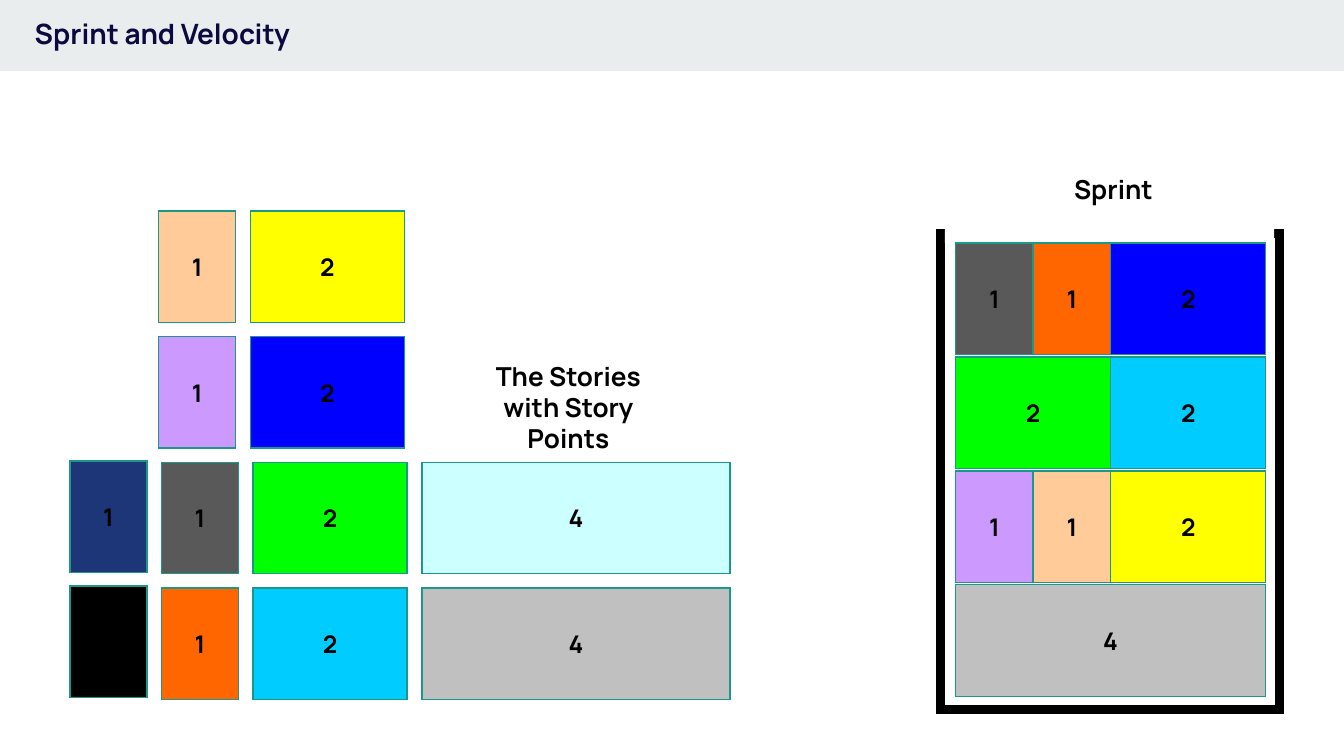
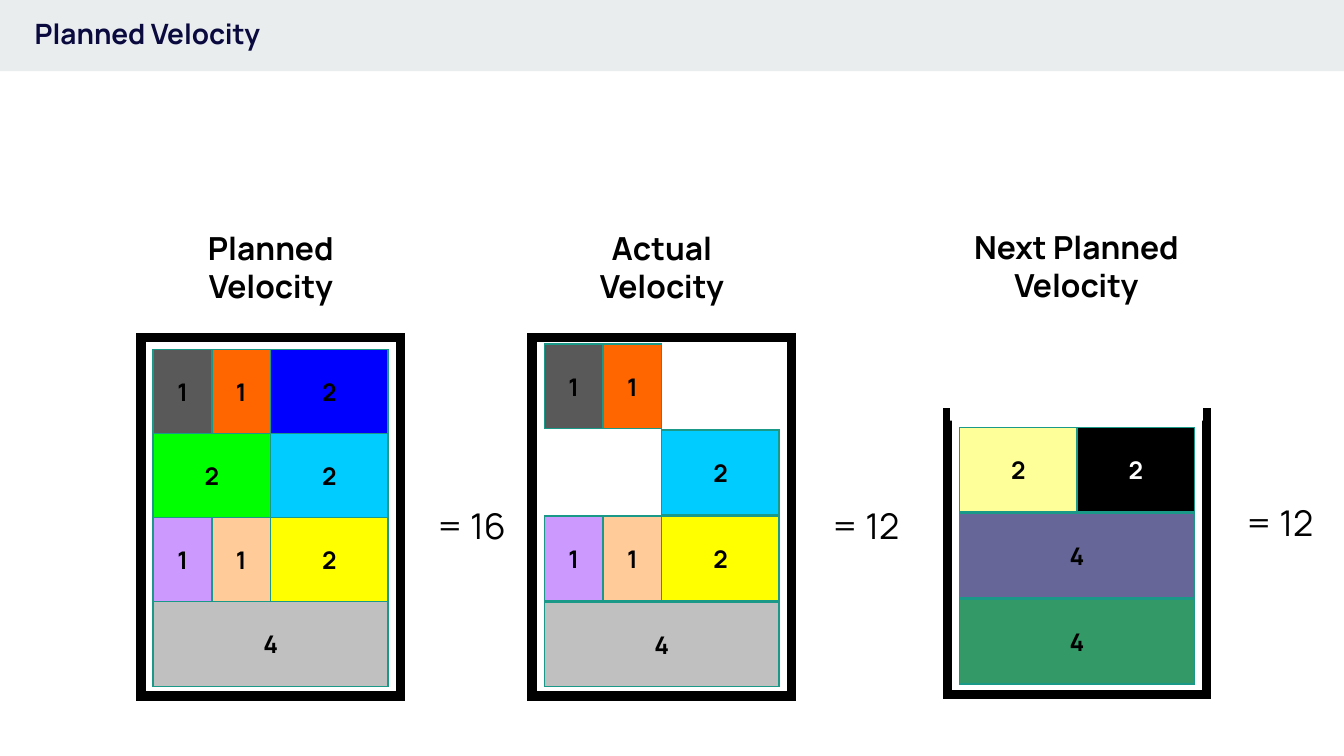
from lxml import etree
from pptx import Presentation
from pptx import util as u
from pptx.dml.color import RGBColor
from pptx.enum import shapes, text
from pptx.oxml.ns import qn

FONT = "Manrope"
COLORS = {
    "band": "E9EDEE", "title": "0A0A3E", "edge": "1A9988",
    "black": "000000", "white": "FFFFFF", "silver": "C0C0C0",
    "grey": "595959", "orange": "FF6600", "blue": "0000FF",
    "green": "00FF00", "sky": "00CCFF", "violet": "CC99FF",
    "peach": "FFCC99", "yellow": "FFFF00", "ice": "CCFFFF",
    "navy": "1C3678", "cream": "FFFF99", "slate": "666699",
    "forest": "339966",
}
COLUMNS, ROWS = 100, 56.25
TOP_ROW = [(1, "grey"), (1, "orange"), (2, "blue")]
SECOND_ROW = [(2, "green"), (2, "sky")]
THIRD_ROW = [(1, "violet"), (1, "peach"), (2, "yellow")]
BOTTOM_ROW = [(4, "silver")]
SPRINT = [TOP_ROW, SECOND_ROW, THIRD_ROW, BOTTOM_ROW]


class Deck:
    def __init__(self):
        self.prs = Presentation()
        self.prs.slide_width = u.Inches(10)
        self.prs.slide_height = u.Inches(5.625)
        self.s = None

    def grid(self, x, y, w, h):
        col = self.prs.slide_width / COLUMNS
        row = self.prs.slide_height / ROWS
        return [u.Emu(round(n)) for n in (x * col, y * row, w * col, h * row)]

    def color(self, name):
        return RGBColor.from_string(COLORS[name])

    def slide(self, title):
        self.s = self.prs.slides.add_slide(self.prs.slide_layouts[6])
        self.rect(0, 0, 100, 5.3, "band")
        self.label(title, 1.6, -0.3, 84.1, 5.9, 15, color="title",
                   align=text.PP_ALIGN.LEFT, middle=True, spacing=0.9)

    def rect(self, x, y, w, h, fill=None, line=None, width=0.75):
        sp = self.s.shapes.add_shape(shapes.MSO_SHAPE.RECTANGLE, *self.grid(x, y, w, h))
        sp.shadow.inherit = False
        if fill:
            sp.fill.solid()
            sp.fill.fore_color.rgb = self.color(fill)
        else:
            sp.fill.background()
        if line:
            sp.line.color.rgb = self.color(line)
            sp.line.width = u.Pt(width)
            ln = sp.element.spPr.find(qn("a:ln"))
            etree.SubElement(ln, qn("a:miter")).set("lim", "800000")
        else:
            sp.line.fill.background()
        return sp

    def fill_text(self, tf, content, size, color, bold=True,
                  align=text.PP_ALIGN.CENTER, middle=True, spacing=None):
        tf.text = content
        tf.word_wrap = True
        tf.vertical_anchor = text.MSO_ANCHOR.MIDDLE if middle else text.MSO_ANCHOR.TOP
        for p in tf.paragraphs:
            p.alignment = align
            if spacing:
                p.line_spacing = spacing
            for r in p.runs:
                r.font.name = FONT
                r.font.size = u.Pt(size)
                r.font.bold = bold
                r.font.color.rgb = self.color(color)

    def label(self, content, x, y, w, h, size, color="black", **style):
        sp = self.s.shapes.add_textbox(*self.grid(x, y, w, h))
        self.fill_text(sp.text_frame, content, size, color, **style)

    def total(self, points, x, y):
        self.label(f"= {points}", x, y, 7.2, 4.2, 19, bold=False,
                   align=text.PP_ALIGN.LEFT, middle=False)

    def frame(self, x, y, w, h):
        self.rect(x, y, w, h, line="black", width=5)

    def story(self, points, fill, x, y, w, h):
        sp = self.rect(x, y, w, h, fill, "edge")
        ink = "white" if fill == "black" else "black"
        self.fill_text(sp.text_frame, str(points), 13, ink)

    def stack(self, rows, x, y, unit, height, pitch, gap=0):
        for i, row in enumerate(rows):
            left = x
            for points, fill in row:
                w = points * unit
                if fill:
                    self.story(points, fill, left, y + i * pitch, w, height)
                left += w + gap

    def save(self):
        self.prs.save("out.pptx")


def sprint_slide(d):
    d.slide("Sprint and Velocity")
    unit, height, pitch, gap = 5.73, 8.3, 9.35, 1.1
    d.stack([[(1, "peach"), (2, "yellow")], [(1, "violet"), (2, "blue")]],
            11.8, 15.7, unit, height, pitch, gap)
    d.stack([[(1, "grey"), (2, "green"), (4, "ice")],
             [(1, "orange"), (2, "sky"), (4, "silver")]],
            12, 34.4, unit, height, pitch, gap)
    d.stack([[(1, "navy")]], 5.2, 34.3, unit, height, pitch)
    d.rect(5.2, 43.6, unit, height, "black", "edge")
    d.label("The Stories\nwith Story Points", 33.3, 26.3, 18, 5.7, 14, middle=False)
    d.label("Sprint", 78.3, 12.4, 9.1, 3.4, 14, middle=False)
    d.frame(70, 17.4, 25.2, 35.4)
    d.rect(70.3, 16.5, 24.5, 1.6, "white")
    d.stack(SPRINT, 71.1, 18.1, 5.77, height, 8.47)


def velocity_slide(d):
    d.slide("Planned Velocity")
    unit, height = 4.37, 6.3
    actual = [[(1, "grey"), (1, "orange")], [(2, None), (2, "sky")],
              THIRD_ROW, BOTTOM_ROW]
    upcoming = [[(2, "cream"), (2, "black")], [(4, "slate")], [(4, "forest")]]

    d.frame(10.5, 25.1, 19.3, 26.7)
    d.label("Planned\nVelocity", 14.2, 16.5, 11.9, 6.7, 17)
    d.stack(SPRINT, 11.4, 26, unit, height, 6.26)
    d.total(16, 31.5, 37)

    d.frame(39.6, 25.1, 19.3, 26.7)
    d.label("Actual\nVelocity", 40.5, 16.5, 17.5, 6.7, 17)
    d.stack(actual, 40.5, 25.6, unit, height, 6.4)
    d.total(12, 60.9, 37)

    d.frame(70.5, 30.7, 19.3, 21)
    d.rect(70.7, 30.1, 18.8, 1.2, "white")
    d.label("Next Planned\nVelocity", 69.3, 16.4, 21.6, 6.7, 17)
    d.stack(upcoming, 71.4, 31.8, unit, height, 6.4)
    d.total(12, 91.7, 36.8)


def main():
    d = Deck()
    sprint_slide(d)
    velocity_slide(d)
    d.save()


if __name__ == "__main__":
    main()
